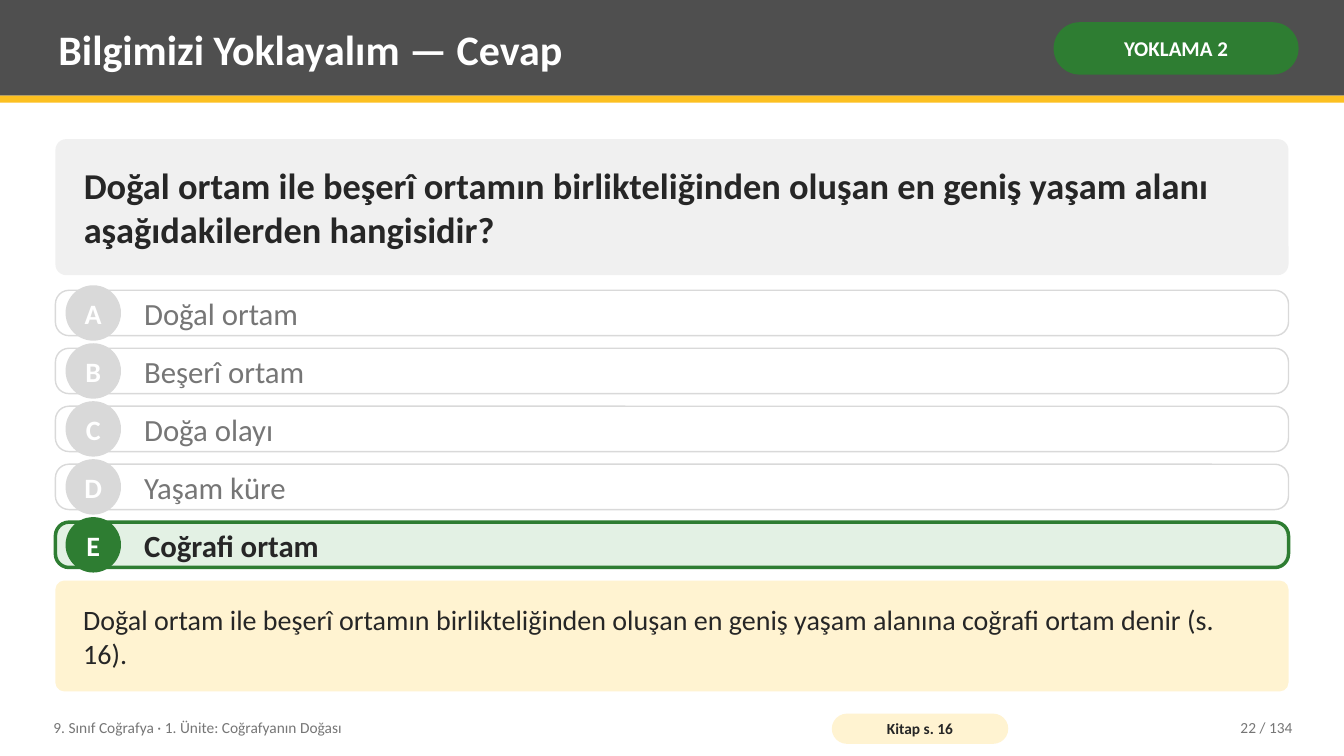
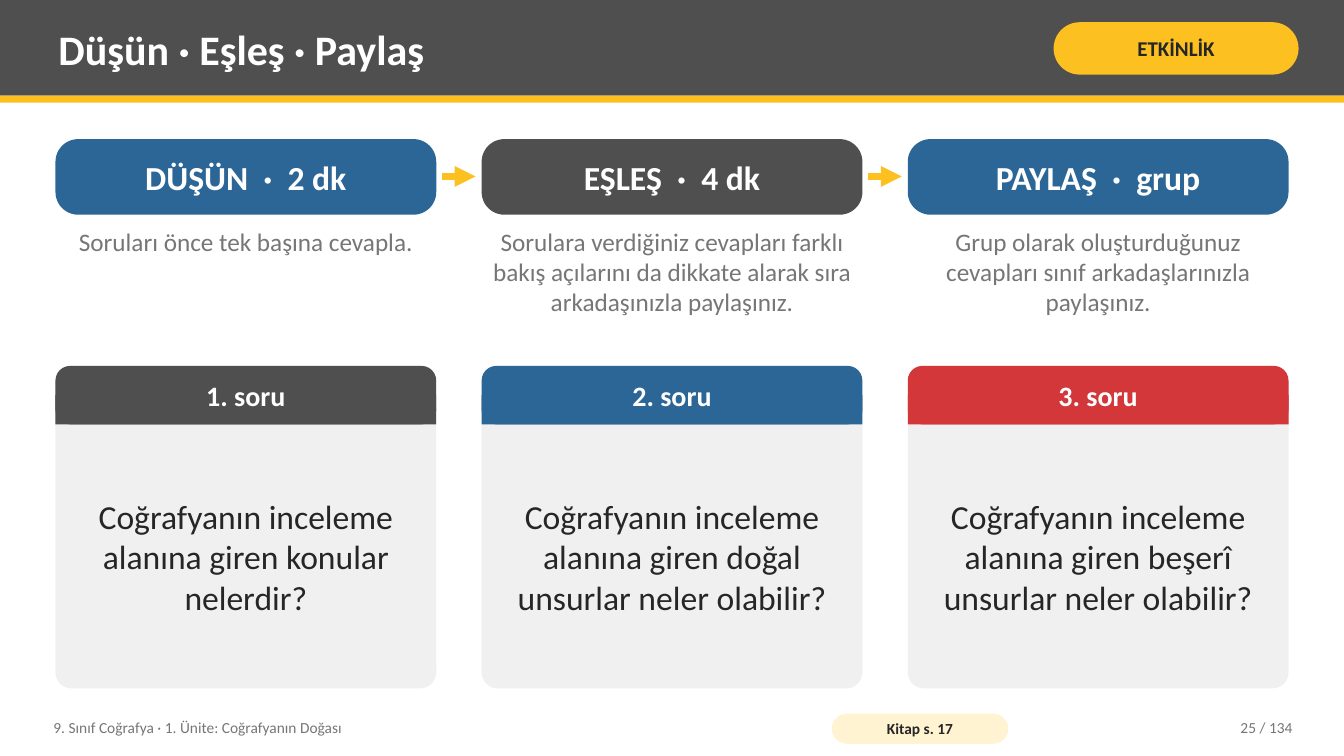
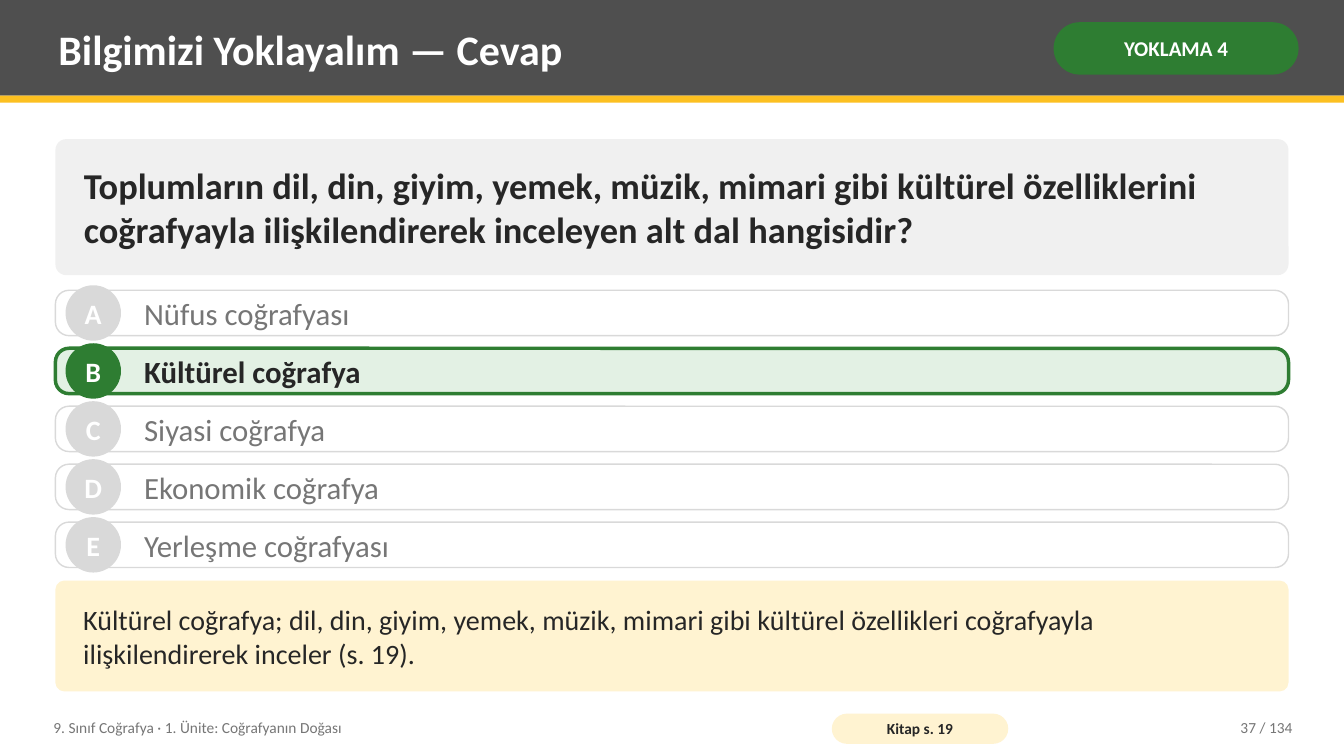
from lxml import etree
from pptx import Presentation
from pptx.dml.color import RGBColor
from pptx.enum.shapes import MSO_CONNECTOR, MSO_SHAPE
from pptx.enum.text import MSO_ANCHOR, PP_ALIGN
from pptx.oxml.ns import qn
from pptx.util import Inches, Pt

RECT, ROUND, OVAL = MSO_SHAPE.RECTANGLE, MSO_SHAPE.ROUNDED_RECTANGLE, MSO_SHAPE.OVAL
STRAIGHT = MSO_CONNECTOR.STRAIGHT
TOP, MIDDLE = MSO_ANCHOR.TOP, MSO_ANCHOR.MIDDLE
LEFT, CENTER, RIGHT = PP_ALIGN.LEFT, PP_ALIGN.CENTER, PP_ALIGN.RIGHT

# Shared theme
FONT = "Calibri"
WHITE, INK, MUTED, DARK = "FFFFFF", "262626", "767676", "4F4F4F"
PALE, RULE = "F0F0F0", "D9D9D9"
YELLOW, CREAM, GREEN, MINT = "FCC021", "FFF3D1", "2E7D32", "E3F1E4"
BLUE, RED = "2C6696", "D3373A"
PAGE_W, PAGE_H = 13.33, 7.5
BODY_X, BODY_Y, BODY_W = 0.55, 1.38, 12.23
UNIT = "9. Sınıf Coğrafya · 1. Ünite: Coğrafyanın Doğası"
PAGES = 134


def rgb(color):
    return RGBColor.from_string(color)


def write(sp, text, size=20, color=INK, bold=False, align=LEFT, anchor=MIDDLE,
          inset=(0.08, 0.04), wrap=True):
    """Put one formatted paragraph into a shape; inset is (sides, top and bottom)."""
    tf = sp.text_frame
    tf.word_wrap = wrap
    tf.vertical_anchor = anchor
    tf.margin_left = tf.margin_right = Inches(inset[0])
    tf.margin_top = tf.margin_bottom = Inches(inset[1])
    p = tf.paragraphs[0]
    p.alignment = align
    r = p.add_run()
    r.text = text
    r.font.name, r.font.size, r.font.bold = FONT, Pt(size), bold
    r.font.color.rgb = rgb(color)


def add_text(s, x, y, w, h, text, **fmt):
    write(s.shapes.add_textbox(Inches(x), Inches(y), Inches(w), Inches(h)), text, **fmt)


def add_box(s, x, y, w, h, fill, kind=RECT, radius=None, line=None, line_w=1):
    sp = s.shapes.add_shape(kind, Inches(x), Inches(y), Inches(w), Inches(h))
    sp.shadow.inherit = False
    sp.fill.solid()
    sp.fill.fore_color.rgb = rgb(fill)
    if radius is not None:
        sp.adjustments[0] = radius
    if line:
        sp.line.color.rgb = rgb(line)
        sp.line.width = Pt(line_w)
    else:
        sp.line.fill.background()
    return sp


def add_arrow(s, x1, x2, y):
    c = s.shapes.add_connector(STRAIGHT, Inches(x1), Inches(y), Inches(x2), Inches(y))
    c.line.color.rgb = rgb(YELLOW)
    c.line.width = Pt(5)
    etree.SubElement(c.line._ln, qn("a:tailEnd"), type="triangle")
    etree.SubElement(c._element.spPr, qn("a:effectLst"))


def add_header(s, title, tag, tag_fill, tag_color):
    add_box(s, 0, 0, PAGE_W, 0.95, DARK)
    add_box(s, 0, 0.95, PAGE_W, 0.07, YELLOW)
    add_text(s, 0.5, 0.07, 9.75, 0.82, title, size=30, color=WHITE, bold=True)
    pill = add_box(s, 10.45, 0.22, 2.43, 0.52, tag_fill, ROUND, 0.5)
    write(pill, tag, size=15, color=tag_color, bold=True, align=CENTER, inset=(0.05, 0.02))


def add_footer(s, book_page, number):
    y, h = 7.04, 0.36
    add_text(s, 0.45, y, 7.6, h, UNIT, size=11, color=MUTED)
    pill = add_box(s, 8.25, y + 0.04, 1.75, 0.3, CREAM, ROUND, 0.5)
    write(pill, f"Kitap s. {book_page}", size=11, bold=True, align=CENTER, inset=(0.04, 0))
    add_text(s, 11.3, y, 1.6, h, f"{number} / {PAGES}", size=11, color=MUTED, align=RIGHT)


def add_slide(prs, title, tag, book_page, number, tag_fill=GREEN, tag_color=WHITE):
    s = prs.slides.add_slide(prs.slide_layouts[6])
    add_header(s, title, tag, tag_fill, tag_color)
    add_footer(s, book_page, number)
    return s


# Answer slides
def add_option(s, x, y, w, h, letter, text, correct):
    accent = GREEN if correct else RULE
    add_box(s, x, y, w, h, MINT if correct else WHITE, ROUND, 0.3,
            line=accent, line_w=2.5 if correct else 1)
    d = 0.55
    badge = add_box(s, x + 0.1, y + (h - d) / 2, d, d, accent, OVAL)
    write(badge, letter, color=WHITE, bold=True, align=CENTER, inset=(0, 0), wrap=False)
    add_text(s, x + 0.8, y, w - 1, h, text, size=22,
             color=INK if correct else MUTED, bold=correct)


def add_options(s, x, y, w, h, options, answer):
    row_h = 0.45
    pitch = (h - row_h) / (len(options) - 1)
    for i, (letter, text) in enumerate(zip("ABCDE", options)):
        add_option(s, x, y + i * pitch, w, row_h, letter, text, letter == answer)


def answer_slide(prs, check, question, options, answer, note, book_page, number):
    s = add_slide(prs, "Bilgimizi Yoklayalım — Cevap", f"YOKLAMA {check}", book_page, number)
    panel = add_box(s, BODY_X, BODY_Y, BODY_W, 1.35, PALE, ROUND, 0.08)
    write(panel, question, size=26, bold=True, inset=(0.25, 0.08))
    add_options(s, BODY_X, 2.88, BODY_W, 2.75, options, answer)
    panel = add_box(s, BODY_X, 5.76, BODY_W, 1.1, CREAM, ROUND, 0.08)
    write(panel, note, inset=(0.25, 0.08))


# Activity slide
def add_step(s, x, y, w, label, text, fill):
    h = 0.75
    pill = add_box(s, x, y, w, h, fill, ROUND, 0.3)
    write(pill, label, size=24, color=WHITE, bold=True, align=CENTER, inset=(0.14, 0.08))
    add_text(s, x, y + h + 0.07, w, 1.25, text, size=18, color=MUTED, align=CENTER, anchor=TOP)


def add_card(s, x, y, w, h, label, text, fill):
    head_h = 0.58
    add_box(s, x, y, w, h, PALE, ROUND, 0.05)
    add_box(s, x, y, w, head_h, fill, ROUND, 0.25)
    add_box(s, x, y + head_h / 2, w, head_h / 2, fill)
    add_text(s, x + 0.1, y, w - 0.2, head_h, label, color=WHITE, bold=True, align=CENTER)
    add_text(s, x + 0.12, y + head_h + 0.08, w - 0.24, h - head_h - 0.16, text,
             size=24, align=CENTER)


def activity_slide(prs, title, steps, cards, book_page, number):
    s = add_slide(prs, title, "ETKİNLİK", book_page, number, YELLOW, INK)
    gap, inset = 0.45, 0.06
    w = (BODY_W - gap * (len(steps) - 1)) / len(steps)
    for i, (step, card) in enumerate(zip(steps, cards)):
        x = BODY_X + i * (w + gap)
        add_step(s, x, BODY_Y, w, *step)
        add_card(s, x, 3.63, w, 3.2, f"{i + 1}. soru", *card)
        if i:
            add_arrow(s, x - gap + inset, x - inset, 1.75)


def main():
    prs = Presentation()
    prs.slide_width, prs.slide_height = Inches(PAGE_W), Inches(PAGE_H)

    answer_slide(
        prs, 2,
        "Doğal ortam ile beşerî ortamın birlikteliğinden oluşan en geniş yaşam alanı "
        "aşağıdakilerden hangisidir?",
        ["Doğal ortam", "Beşerî ortam", "Doğa olayı", "Yaşam küre", "Coğrafi ortam"], "E",
        "Doğal ortam ile beşerî ortamın birlikteliğinden oluşan en geniş yaşam alanına "
        "coğrafi ortam denir (s. 16).",
        book_page=16, number=22)

    activity_slide(
        prs, "Düşün · Eşleş · Paylaş",
        [("DÜŞÜN  ·  2 dk", "Soruları önce tek başına cevapla.", BLUE),
         ("EŞLEŞ  ·  4 dk", "Sorulara verdiğiniz cevapları farklı bakış açılarını da "
                            "dikkate alarak sıra arkadaşınızla paylaşınız.", DARK),
         ("PAYLAŞ  ·  grup", "Grup olarak oluşturduğunuz cevapları sınıf "
                             "arkadaşlarınızla paylaşınız.", BLUE)],
        [("Coğrafyanın inceleme alanına giren konular nelerdir?", DARK),
         ("Coğrafyanın inceleme alanına giren doğal unsurlar neler olabilir?", BLUE),
         ("Coğrafyanın inceleme alanına giren beşerî unsurlar neler olabilir?", RED)],
        book_page=17, number=25)

    answer_slide(
        prs, 4,
        "Toplumların dil, din, giyim, yemek, müzik, mimari gibi kültürel özelliklerini "
        "coğrafyayla ilişkilendirerek inceleyen alt dal hangisidir?",
        ["Nüfus coğrafyası", "Kültürel coğrafya", "Siyasi coğrafya", "Ekonomik coğrafya",
         "Yerleşme coğrafyası"], "B",
        "Kültürel coğrafya; dil, din, giyim, yemek, müzik, mimari gibi kültürel özellikleri "
        "coğrafyayla ilişkilendirerek inceler (s. 19).",
        book_page=19, number=37)

    prs.save("out.pptx")


if __name__ == "__main__":
    main()
